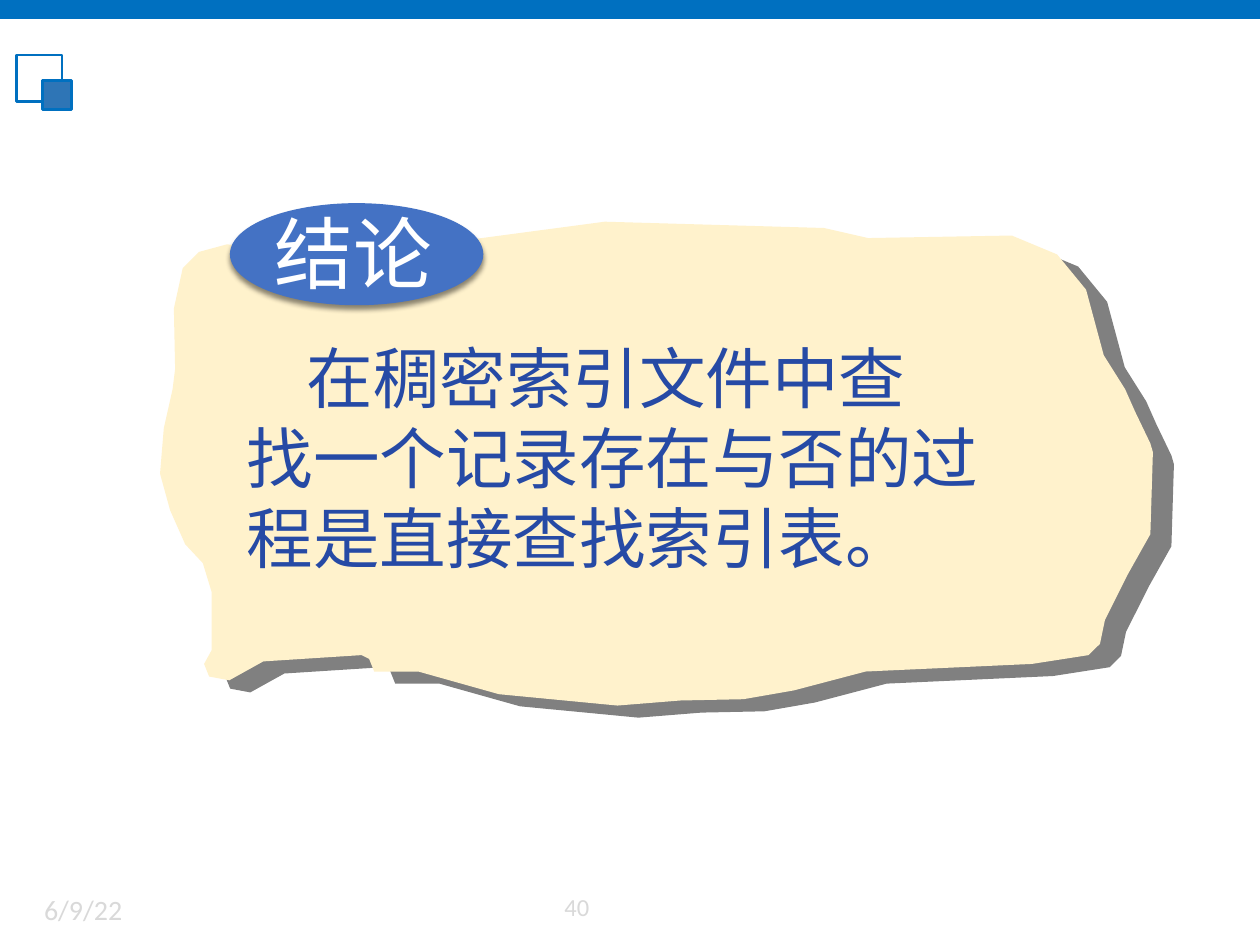
"""Build the conclusion slide on looking up records in a dense index file."""
from lxml.etree import SubElement
from pptx import Presentation
from pptx.dml.color import RGBColor
from pptx.enum.shapes import MSO_SHAPE
from pptx.enum.text import MSO_ANCHOR, MSO_AUTO_SIZE, PP_ALIGN
from pptx.oxml.ns import qn
from pptx.util import Cm, Pt

COLORS = {
    "bar": "0070C0", "square": "2E75B6", "footer": "D9D9D9", "paper": "FFF2CC",
    "paper_shadow": "808080", "body": "264AA5", "oval": "4472C4",
    "oval_shadow": "000000", "white": "FFFFFF",
}
PAPER_EDGE = [
    (180, 194), (258, 200), (340, 198), (375, 190), (480, 176), (654, 181),
    (689, 189), (803, 187), (839, 202), (862, 230), (876, 282), (893, 309),
    (901, 327), (913, 352), (915, 359), (913, 424), (895, 456), (877, 492),
    (873, 511), (864, 520), (819, 527), (687, 533), (630, 548), (590, 555),
    (540, 556), (490, 560), (396, 551), (332, 533), (297, 533), (293, 523),
    (287, 520), (209, 525), (182, 540), (166, 537), (162, 527), (168, 516),
    (168, 470), (161, 447), (147, 432), (135, 405), (127, 376), (130, 340),
    (137, 309), (139, 293), (138, 245), (145, 213), (158, 200),
]


def paint(shape, fill, line=None, width=0, shadow=None):
    """Set fill, outline and an optional shadow (colour, opacity, blur, distance, angle)."""
    shape.shadow.inherit = False
    if fill:
        shape.fill.solid()
        shape.fill.fore_color.rgb = RGBColor.from_string(COLORS[fill])
    else:
        shape.fill.background()
    if line:
        shape.line.color.rgb = RGBColor.from_string(COLORS[line])
        shape.line.width = Pt(width)
    else:
        shape.line.fill.background()
    if shadow:
        color, opacity, blur, distance, angle = shadow
        effects = shape._element.spPr.find(qn("a:effectLst"))
        outer = SubElement(effects, qn("a:outerShdw"), blurRad=str(Pt(blur)),
                           dist=str(Pt(distance)), dir=str(angle * 60000),
                           algn="ctr", rotWithShape="0")
        tone = SubElement(outer, qn("a:srgbClr"), val=COLORS[color])
        SubElement(tone, qn("a:alpha"), val=str(opacity * 1000))


def write(box, lines, size, font, color, line_height=None):
    """Fill a box with left-aligned paragraphs from the top."""
    frame = box.text_frame
    settings = {"word_wrap": True, "auto_size": MSO_AUTO_SIZE.NONE,
                "vertical_anchor": MSO_ANCHOR.TOP}
    for name, value in settings.items():
        setattr(frame, name, value)
    frame.text = "\n".join(lines)
    for para in frame.paragraphs:
        para.alignment = PP_ALIGN.LEFT
        if line_height:
            para.line_spacing = Pt(line_height)
        for span in para.runs:
            for name, value in {"size": Pt(size), "name": font}.items():
                setattr(span.font, name, value)
            span.font.color.rgb = RGBColor.from_string(COLORS[color])
            SubElement(span.font._element, qn("a:ea"), typeface=font)


deck = Presentation()
deck.slide_width, deck.slide_height = Cm(25.4), Cm(19.05)
page = deck.slides.add_slide(deck.slide_layouts[5])
shapes = page.shapes

for left, top, width, height, fill, line in [
    (0, 0, 25.4, 0.38, "bar", None),
    (0.33, 1.11, 0.92, 0.94, None, "bar"),
    (0.86, 1.63, 0.58, 0.58, "square", "bar"),
]:
    block = shapes.add_shape(MSO_SHAPE.RECTANGLE, Cm(left), Cm(top), Cm(width), Cm(height))
    paint(block, fill, line, 1.5)

for text, left, width, size in [("6/9/22", 0.64, 4.67, 16), ("40", 11.13, 1.57, 14)]:
    footer = shapes.add_textbox(Cm(left), Cm(17.86), Cm(width), Cm(1))
    write(footer, [text], size, "Calibri", "footer")

builder = shapes.build_freeform(*PAPER_EDGE[0], scale=Cm(2.54) / 100)
builder.add_line_segments(PAPER_EDGE[1:], close=True)
paper = builder.convert_to_shape()
paint(paper, "paper", shadow=("paper_shadow", 100, 0, 13.9, 30))

body = shapes.add_textbox(Cm(4.72), Cm(6.63), Cm(16.94), Cm(5.08))
write(body, ["在稠密索引文件中查", "找一个记录存在与否的过", "程是直接查找索引表。"],
      38, "Noto Sans CJK SC", "body", 45.7)
body.text_frame.margin_top = Cm(0.17)
body.text_frame.paragraphs[0]._p.get_or_add_pPr().set("indent", str(Cm(1.21)))

oval = shapes.add_shape(MSO_SHAPE.OVAL, Cm(4.65), Cm(4.11), Cm(5.08), Cm(2.03))
paint(oval, "oval", "oval", 0.79, ("oval_shadow", 45, 3, 2.4, 90))

title = shapes.title
for name, value in {"left": 5.28, "top": 3.99, "width": 5.72, "height": 2.16}.items():
    setattr(title, name, Cm(value))
write(title, ["结论"], 45, "DejaVu Sans", "white")
oval._element.addnext(title._element)

deck.save("out.pptx")
